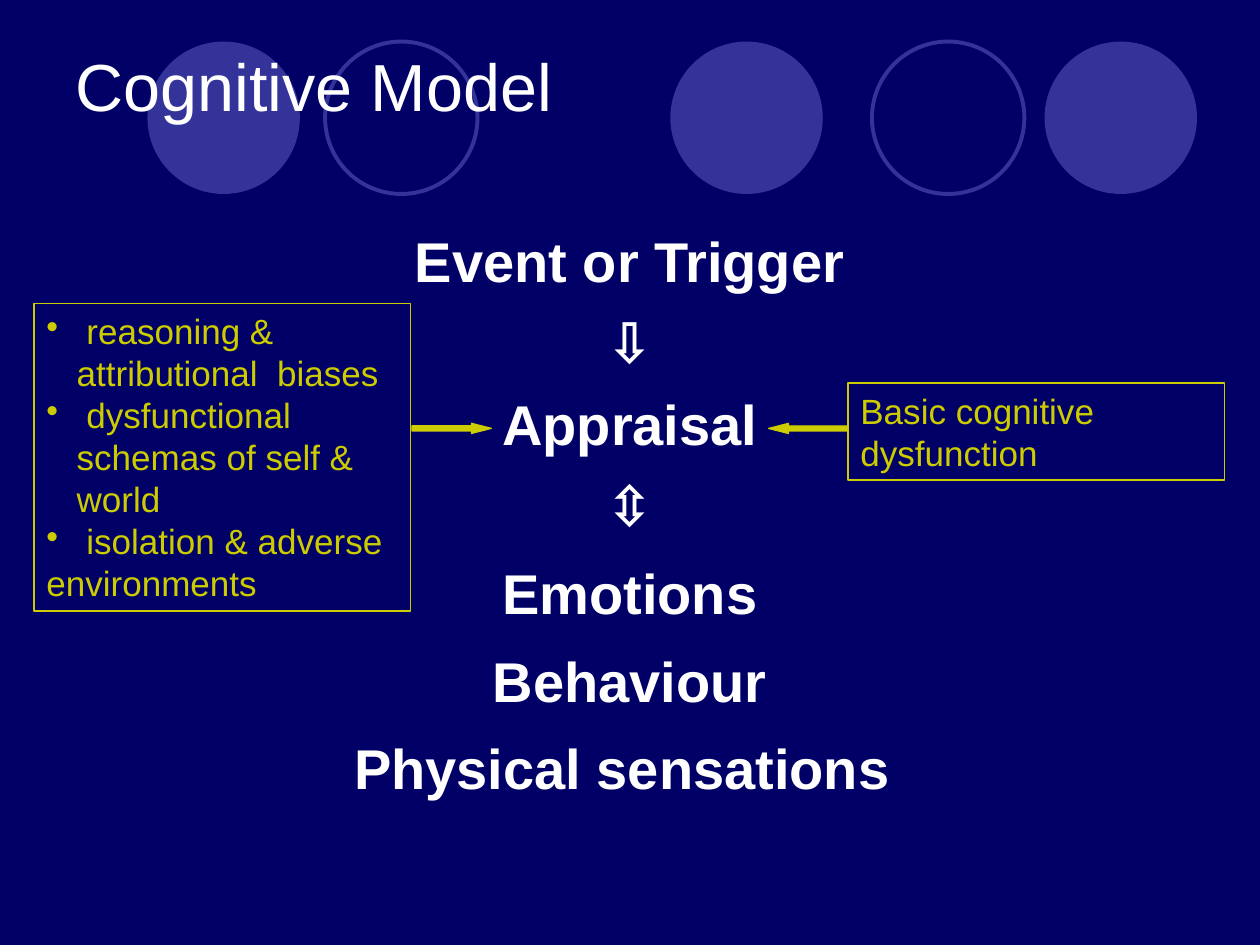
from lxml import etree
from pptx import Presentation
from pptx.dml.color import RGBColor
from pptx.enum import shapes, text
from pptx.oxml.ns import qn
from pptx.util import Inches, Pt

COLORS = {"navy": "000066", "circle": "333399", "white": "FFFFFF", "accent": "CCCC00"}
FONT = "Arial"
COLS, ROWS = 100, 75  # slide grid

prs = Presentation()
prs.slide_width, prs.slide_height = Inches(10), Inches(7.5)
COL, ROW = prs.slide_width / COLS, prs.slide_height / ROWS


def rgb(name):
    return RGBColor.from_string(COLORS[name])


def grid(box):
    """Turn (column, row, columns, rows) into slide lengths."""
    x, y, w, h = box
    return int(x * COL), int(y * ROW), int(w * COL), int(h * ROW)


def add_shape(slide, kind, box, fill=None, line=None, width=0.75):
    sp = slide.shapes.add_shape(kind, *grid(box))
    sp.shadow.inherit = False
    if fill:
        sp.fill.solid()
        sp.fill.fore_color.rgb = rgb(fill)
    else:
        sp.fill.background()
    if line:
        sp.line.color.rgb = rgb(line)
        sp.line.width = Pt(width)
    else:
        sp.line.fill.background()
    return sp


def set_frame(sp, anchor=text.MSO_ANCHOR.TOP):
    tf = sp.text_frame
    tf.word_wrap = True
    tf.vertical_anchor = anchor
    return tf


def add_line(tf, words, size, color, bold=False, align=text.PP_ALIGN.LEFT):
    p = tf.paragraphs[0] if not tf.paragraphs[0].runs else tf.add_paragraph()
    p.alignment = align
    r = p.add_run()
    r.text = words
    r.font.name, r.font.size, r.font.bold = FONT, Pt(size), bold
    r.font.color.rgb = rgb(color)
    return p


def add_bullet(p, color, indent):
    pPr = p._p.get_or_add_pPr()
    pPr.set("marL", str(indent))
    pPr.set("indent", str(-indent))
    clr = etree.SubElement(pPr, qn("a:buClr"))
    etree.SubElement(clr, qn("a:srgbClr"), val=COLORS[color])
    etree.SubElement(pPr, qn("a:buChar"), char="•")


def circle_band(slide, box):
    """Row of filled and outlined circles, as tall as the box."""
    x, y, _, size = box
    for offset, filled in ((0, True), (14.1, False), (41.5, True),
                           (57.5, False), (71.2, True)):
        color = "circle"
        add_shape(slide, shapes.MSO_SHAPE.OVAL, (x + offset, y, size, size),
                  fill=color if filled else None,
                  line=None if filled else color, width=2.25)


def title(slide, box, words):
    tf = set_frame(slide.shapes.add_textbox(*grid(box)), text.MSO_ANCHOR.MIDDLE)
    add_line(tf, words, 38, "white")


def model_chain(slide, box, steps, outcomes):
    """Centred chain of steps, with looser lines for the outcomes."""
    tf = set_frame(slide.shapes.add_textbox(*grid(box)))
    for words in steps + outcomes:
        p = add_line(tf, words, 32, "white", True, text.PP_ALIGN.CENTER)
        p.space_before = Pt(8)
        p.line_spacing = Pt(42.2 if words in outcomes else 38.4)


def factor_box(slide, box, bullets, plain):
    """Outlined box with bulleted lines, then a plain one."""
    sp = add_shape(slide, shapes.MSO_SHAPE.RECTANGLE, box, line="accent")
    tf = set_frame(sp)
    for words in bullets + [plain]:
        p = add_line(tf, words, 20, "accent")
        p.line_spacing = Pt(24)
        if words in bullets:
            add_bullet(p, "accent", int(2.4 * COL))


def factor_arrow(slide, box, turn=0):
    sp = add_shape(slide, shapes.MSO_SHAPE.RIGHT_ARROW, box, "accent", "accent")
    sp.adjustments[0], sp.adjustments[1] = 0.5, 1.97
    sp.rotation = turn


def main():
    slide = prs.slides.add_slide(prs.slide_layouts[6])
    slide.background.fill.solid()
    slide.background.fill.fore_color.rgb = rgb("navy")

    # Header
    circle_band(slide, (11.7, 3.3, 83.3, 12.1))
    title(slide, (5, 0.5, 90, 12.5), "Cognitive Model")

    # Central chain
    model_chain(slide, (5, 17.5, 90, 49.5),
                ["Event or Trigger", "⇩", "Appraisal", "⇳"],
                ["Emotions", "Behaviour", "Physical sensations "])

    # Factors on either side
    factor_box(slide, (2.7, 24.1, 29.9, 24.4),
               [" reasoning & attributional  biases",
                " dysfunctional schemas of self & world",
                " isolation & adverse"], "environments")
    factor_box(slide, (67.3, 30.4, 29.9, 7.7), [], "Basic cognitive dysfunction")

    # Arrows towards the appraisal
    factor_arrow(slide, (32.7, 33.6, 6.3, 0.8))
    factor_arrow(slide, (61, 33.6, 6.3, 0.8), 180)

    prs.save("out.pptx")


if __name__ == "__main__":
    main()
